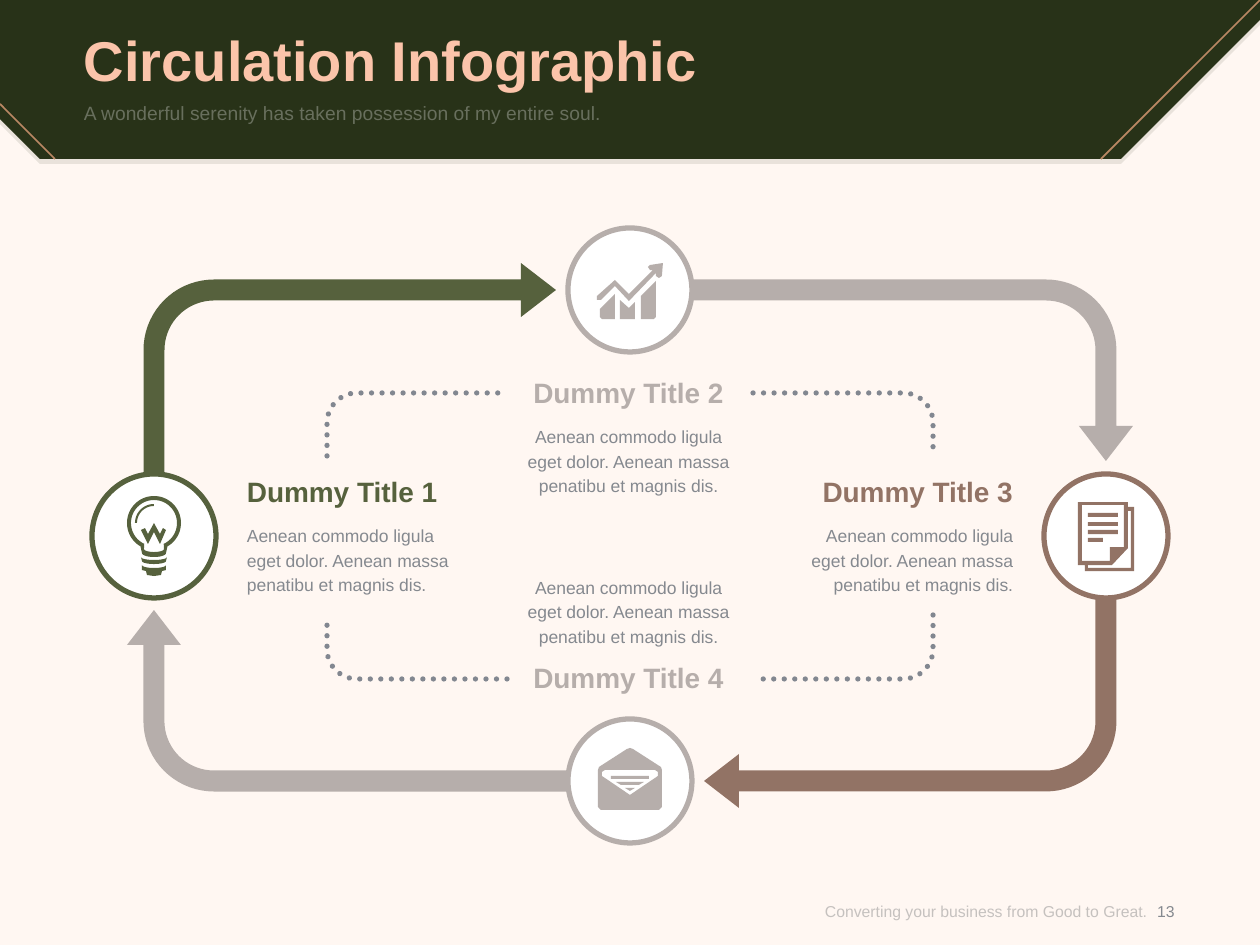
from math import cos, sin, radians
from lxml import etree
from pptx import Presentation, util as u
from pptx.dml.color import RGBColor
from pptx.enum import dml, shapes, text
from pptx.oxml.ns import qn

PX = 914400 / 126
FONT = "Arial"
CREAM = RGBColor(0xFF, 0xF7, 0xF2)
WHITE = RGBColor(0xFF, 0xFF, 0xFF)
FOREST = RGBColor(0x28, 0x32, 0x18)
PEACH = RGBColor(0xFB, 0xC4, 0xAA)
COPPER = RGBColor(0xB9, 0x87, 0x63)
OLIVE = RGBColor(0x56, 0x61, 0x3D)
BROWN = RGBColor(0x92, 0x73, 0x65)
TAUPE = RGBColor(0xB6, 0xAE, 0xAB)
DOT_GREY = RGBColor(0x82, 0x87, 0x90)
TEXT_GREY = RGBColor(0x85, 0x89, 0x8F)
FOOTER_GREY = RGBColor(0x8C, 0x8C, 0x8C)
LEFT, CENTER, RIGHT = text.PP_ALIGN.LEFT, text.PP_ALIGN.CENTER, text.PP_ALIGN.RIGHT
TOP, MIDDLE, BOTTOM = text.MSO_ANCHOR.TOP, text.MSO_ANCHOR.MIDDLE, text.MSO_ANCHOR.BOTTOM


def arc(x, y, rx, ry, start, end, steps=24):
    angles = [radians(start + (end - start) * i / steps) for i in range(steps + 1)]
    return [(x + rx * cos(a), y + ry * sin(a)) for a in angles]


def box(left, top, right, bottom):
    return [(left, top), (right, top), (right, bottom), (left, bottom)]


# Icon outlines, measured from the middle of their circle
BULB = [
    arc(0, -13, 27, 27, 120, 420, 60) + arc(0, 17, 12, 4, 0, 180),
    arc(0, -13, 23, 23, 115, 425, 60) + arc(0, 13, 10, 3, 0, 180),
    arc(0, -13, 19, 19, 180, 270) + arc(0, -13, 17, 17, 270, 180),
    [(6, -2), (0, -13), (-6, -2), (-9, -8), (-13, -6), (-6, 8), (0, -4), (6, 8), (12, -6), (9, -8)],
    arc(0, 21, 13, 3, 180, 0) + arc(0, 25, 12, 3, 0, 180),
    arc(0, 29, 12, 3, 180, 0) + [(12, 34), (8, 35), (7, 39), (0, 40), (-7, 39), (-8, 35), (-12, 34)],
]
GROWTH = [
    [(-30, 19), (-15, 4), (-15, 29), (-28, 29), (-30, 27)],
    [(-10, 10), (-1, 18), (5, 12), (5, 29), (-10, 29)],
    [(11, 6), (26, -9), (26, 27), (24, 29), (11, 29)],
    [(33, -27), (20, -25), (18, -23), (20, -20), (23, -20), (-1, 4), (-15, -10), (-33, 6),
     (-33, 10), (-29, 10), (-15, -4), (-1, 11), (26, -17), (26, -14), (29, -12), (32, -14)],
]
PAPERS = [
    [(22, -29), (22, -34), (-28, -34), (-28, 29), (-21, 29), (-21, 35), (28, 35), (28, -29)],
    [(-24, 25), (-24, -31), (18, -31), (18, 11), (4, 11), (4, 25)],
    [(25, 32), (-18, 32), (-18, 29), (6, 29), (22, 12), (22, -25), (25, -25)],
    *[box(-18, y, right, y + 4) for y, right in ((-23, 12), (-14, 12), (-6, 12), (2, -3))],
]
ENVELOPE = [
    [(31, -14), (3, -32), (0, -33), (-3, -32), (-31, -14), (-32, -11), (-32, 26), (-29, 29),
     (29, 29), (32, 26), (32, -11)],
    [(28, -5), (0, 14), (-28, -5), (-28, -9), (-25, -11), (25, -11), (28, -9)],
    box(-19, -5, 19, -2),
    [(-14, 1), (14, 1), (9, 4), (-9, 4)],
    [(-5, 7), (5, 7), (0, 10)],
]

# Stations: middle of circle, colour, icon
WEST, NORTH, EAST, SOUTH = (154, 536), (630, 290), (1106, 536), (630, 781)
STATIONS = [(WEST, OLIVE, BULB), (EAST, BROWN, PAPERS),
            (NORTH, TAUPE, GROWTH), (SOUTH, TAUPE, ENVELOPE)]

# Clockwise bends: start, corner, end
ARROWS = [
    (WEST, (154, 290), (556, 290), OLIVE),
    (EAST, (1106, 781), (704, 781), BROWN),
    (NORTH, (1106, 290), (1106, 461), TAUPE),
    (SOUTH, (154, 781), (154, 610), TAUPE),
]
DOTTED = [
    ((327, 456), (327, 393), (507, 393)),
    ((753, 393), (933, 393), (933, 456)),
    ((933, 615), (933, 679), (753, 679)),
    ((507, 679), (327, 679), (327, 615)),
]

# Captions: title, left, title top, body top, alignment, body anchor, colour
BODY = "Aenean commodo ligula eget dolor. Aenean massa penatibu et magnis dis."
CAPTIONS = [
    ("Dummy Title 1", 247, 475, 522, LEFT, TOP, OLIVE),
    ("Dummy Title 3", 796, 475, 522, RIGHT, TOP, BROWN),
    ("Dummy Title 2", 520, 376, 423, CENTER, TOP, TAUPE),
    ("Dummy Title 4", 520, 661, 547, CENTER, BOTTOM, TAUPE),
]

# Other texts: wording, box, size, colour, alignment, anchor, bold, opacity
TEXTS = [
    ("Circulation Infographic", (84, 18, 1091, 82), 32, PEACH, LEFT, MIDDLE, True, 100),
    ("A wonderful serenity has taken possession of my entire soul.",
     (84, 101, 1091, 49), 11, WHITE, LEFT, TOP, False, 30),
    ("Converting your business from Good to Great.",
     (761, 877, 386, 68), 9, FOOTER_GREY, RIGHT, MIDDLE, False, 50),
    ("13", (1136, 877, 60, 68), 9, TEXT_GREY, CENTER, MIDDLE, False, 100),
]
HEADER = [(0, 0), (1260, 0), (1260, 20), (1121, 159), (40, 159), (0, 119)]
HEADER_LINES = [((1260, 0), (1101, 159)), ((0, 104), (55, 159))]


def emu(value):
    return round(value * PX)


def set_opacity(element, percent):
    color = next(element.iter(qn("a:srgbClr")))
    etree.SubElement(color, qn("a:alpha")).set("val", str(percent * 1000))


def add_outline(slide, contours, fill=None, origin=(0, 0)):
    """Draw closed filled contours, or one open line when there is no fill."""
    builder = None
    for contour in contours:
        points = [(emu(x + origin[0]), emu(y + origin[1])) for x, y in contour]
        if builder is None:
            builder = slide.shapes.build_freeform(*points[0], scale=1.0)
        else:
            builder.move_to(*points[0])
        builder.add_line_segments(points[1:], close=fill is not None)
    shape = builder.convert_to_shape()
    shape.shadow.inherit = False
    if fill is None:
        shape.fill.background()
    else:
        shape.fill.solid()
        shape.fill.fore_color.rgb = fill
        shape.line.fill.background()
    return shape


def add_text(slide, wording, place, size, color, align, anchor, bold=False, opacity=100, spacing=None):
    frame = slide.shapes.add_textbox(*map(emu, place)).text_frame
    frame.word_wrap = True
    frame.margin_left = frame.margin_right = frame.margin_top = frame.margin_bottom = 0
    frame.vertical_anchor = anchor
    paragraph = frame.paragraphs[0]
    paragraph.alignment = align
    if spacing:
        paragraph.line_spacing = u.Pt(spacing)
    run = paragraph.add_run()
    run.text = wording
    run.font.name, run.font.size, run.font.bold = FONT, u.Pt(size), bold
    run.font.color.rgb = color
    if opacity < 100:
        set_opacity(run._r, opacity)


def move(point, *steps):
    """Shift a point by (direction, distance) steps."""
    return tuple(point[i] + sum(d[i] * length for d, length in steps) for i in (0, 1))


def direction(start, end):
    return tuple((b > a) - (b < a) for a, b in zip(start, end))


def bend(start, corner, end, radius, offset=0):
    """Quarter turn from one leg to the next, shifted outward by offset."""
    first, second = direction(start, corner), direction(corner, end)
    middle = move(corner, (first, -radius), (second, radius))
    size = radius + offset
    return [move(middle, (second, -size * cos(radians(a))), (first, size * sin(radians(a))))
            for a in range(0, 91, 5)]


def arrow_outline(start, corner, tip, half=10.5, head=35, wing=27, radius=60):
    first, second = direction(start, corner), direction(corner, tip)
    neck = move(tip, (second, -head))
    sides = [move(neck, (first, distance)) for distance in (half, wing, -wing, -half)]
    return [move(start, (second, -half)), *bend(start, corner, tip, radius, half),
            *sides[:2], tip, *sides[2:],
            *reversed(bend(start, corner, tip, radius, -half)), move(start, (second, half))]


def main():
    presentation = Presentation()
    presentation.slide_width, presentation.slide_height = emu(1260), emu(945)
    slide = presentation.slides.add_slide(presentation.slide_layouts[6])
    slide.background.fill.solid()
    slide.background.fill.fore_color.rgb = CREAM

    # Header band over its soft shadow
    set_opacity(add_outline(slide, [HEADER], FOREST, (0, 5))._element.spPr, 10)
    add_outline(slide, [HEADER], FOREST)
    for start, end in HEADER_LINES:
        line = slide.shapes.add_connector(shapes.MSO_CONNECTOR.STRAIGHT, *map(emu, start + end))
        line.line.color.rgb, line.line.width = COPPER, u.Pt(1)
        etree.SubElement(line._element.spPr, qn("a:effectLst"))
    for item in TEXTS:
        add_text(slide, *item)

    # Arrows of the cycle
    for start, corner, tip, color in ARROWS:
        add_outline(slide, [arrow_outline(start, corner, tip)], color)

    # Stations with icons
    for (x, y), color, icon in STATIONS:
        circle = slide.shapes.add_shape(shapes.MSO_SHAPE.OVAL, *map(emu, (x - 62, y - 62, 124, 124)))
        circle.shadow.inherit = False
        circle.fill.solid()
        circle.fill.fore_color.rgb = WHITE
        circle.line.color.rgb, circle.line.width = color, u.Pt(3)
        add_outline(slide, icon, color, (x, y))

    # Dotted inner frame
    for start, corner, end in DOTTED:
        shape = add_outline(slide, [[start, *bend(start, corner, end, 30), end]])
        shape.line.color.rgb, shape.line.width = DOT_GREY, u.Pt(3)
        shape.line.dash_style = dml.MSO_LINE.ROUND_DOT
        shape._element.spPr.find(qn("a:ln")).set("cap", "rnd")

    # Captions
    for title, left, title_top, body_top, align, anchor, color in CAPTIONS:
        add_text(slide, BODY, (left, body_top, 217, 100), 10, TEXT_GREY, align, anchor, spacing=14)
        add_text(slide, title, (left, title_top, 217, 34), 16, color, align, TOP, bold=True)

    presentation.save("out.pptx")


if __name__ == "__main__":
    main()
